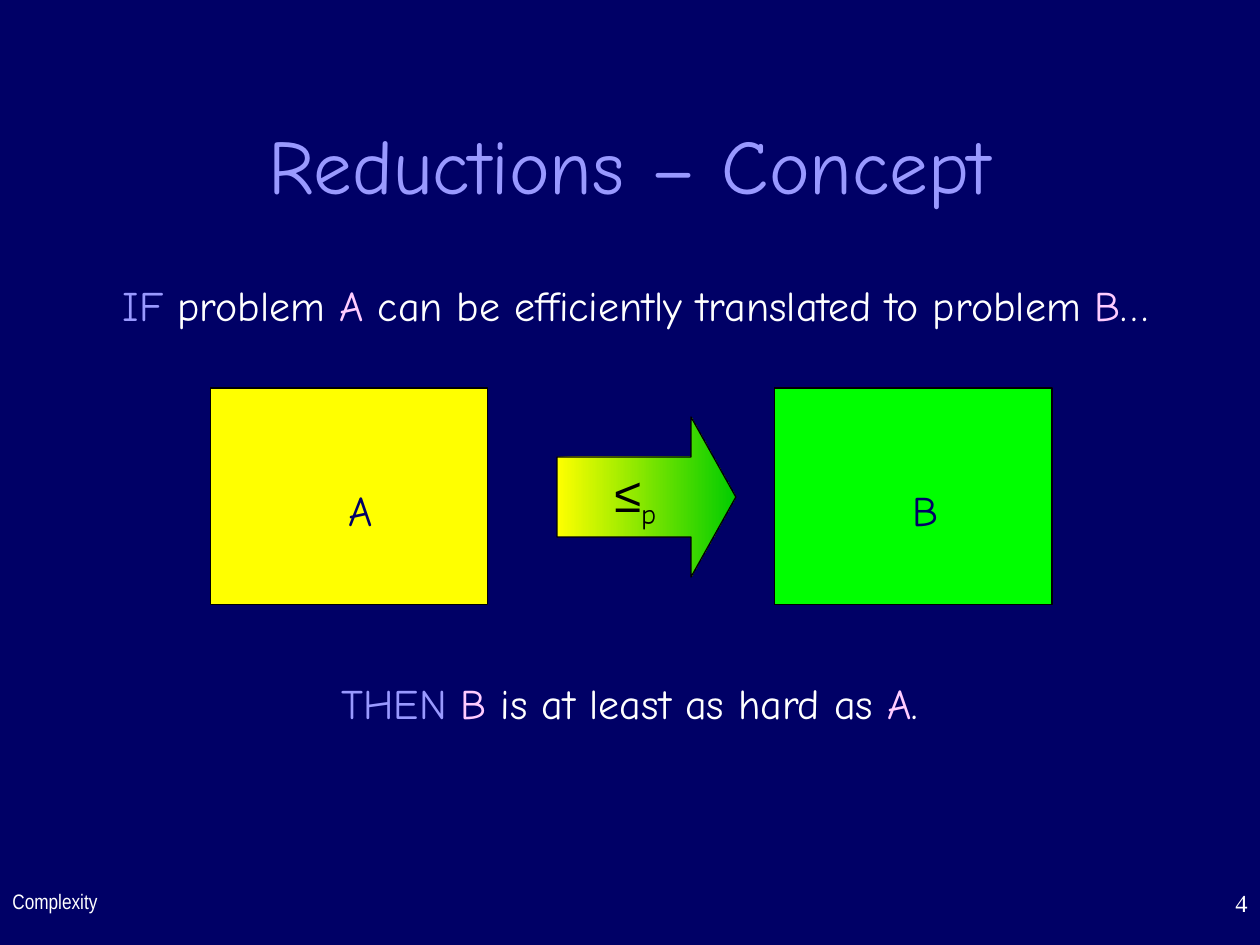
from pptx import Presentation
from pptx.dml.color import RGBColor
from pptx.enum.shapes import MSO_SHAPE
from pptx.enum.text import MSO_ANCHOR, PP_ALIGN
from pptx.util import Inches, Pt

COLORS = {
    "navy": "000066", "periwinkle": "9999FF", "pink": "FFCCFF",
    "white": "FFFFFF", "black": "000000", "yellow": "FFFF00",
    "lime": "00FF00", "green": "00CC00",
}
COMIC = "Comic Neue"


def color(name):
    return RGBColor.from_string(COLORS[name])


def write(tf, runs, size, font=COMIC, align=PP_ALIGN.CENTER, anchor=MSO_ANCHOR.TOP):
    """Fill a frame with one paragraph of (text, color name) runs."""
    tf.word_wrap = True
    tf.vertical_anchor = anchor
    p = tf.paragraphs[0]
    p.alignment = align
    for text, name in runs:
        r = p.add_run()
        r.text = text
        r.font.size = Pt(size)
        r.font.name = font
        r.font.color.rgb = color(name)
    return p


def add_text(s, box, runs, size, **style):
    tb = s.shapes.add_textbox(*map(Inches, box))
    write(tb.text_frame, runs, size, **style)


def add_outlined(s, kind, box):
    sp = s.shapes.add_shape(kind, *map(Inches, box))
    sp.shadow.inherit = False
    sp.line.color.rgb = color("black")
    sp.line.width = Pt(0.75)
    return sp


def add_problem(s, box, label, fill):
    sp = add_outlined(s, MSO_SHAPE.RECTANGLE, box)
    sp.fill.solid()
    sp.fill.fore_color.rgb = color(fill)
    tf = sp.text_frame
    # The label sits slightly right of and below the centre
    tf.margin_left = Inches(0.29)
    tf.margin_top = Inches(0.26)
    write(tf, [(label, "navy")], 24, anchor=MSO_ANCHOR.MIDDLE)


def add_reduction_arrow(s, box):
    sp = add_outlined(s, MSO_SHAPE.RIGHT_ARROW, box)
    sp.adjustments[0] = 0.5
    sp.adjustments[1] = 0.28
    sp.fill.gradient()
    sp.fill.gradient_angle = 0
    for stop, name in zip(sp.fill.gradient_stops, ("yellow", "green")):
        stop.color.rgb = color(name)
    p = write(sp.text_frame, [("≤", "black"), ("p", "black")], 28,
              anchor=MSO_ANCHOR.MIDDLE)
    relation, subscript = p.runs
    relation.font.name = "Arial"
    subscript._r.get_or_add_rPr().set("baseline", "-25000")


def add_diagram(s, left, top, width, height):
    """Problem A, the reduction arrow and problem B in one row."""
    box_w = 2.2
    add_problem(s, (left, top, box_w, height), "A", "yellow")
    add_reduction_arrow(s, (left + 2.75, top + 0.23, 1.42, 1.27))
    add_problem(s, (left + width - box_w, top, box_w, height), "B", "lime")


def add_footer(s, top, width, height):
    number_w = 2.08
    add_text(s, (0, top, 3.17, height), [("Complexity", "white")], 12,
             font="Arial Narrow", align=PP_ALIGN.LEFT)
    add_text(s, (width - number_w, top, number_w, height), [("4", "white")], 14,
             font="Times New Roman", align=PP_ALIGN.RIGHT)


def main():
    prs = Presentation()
    prs.slide_width, prs.slide_height = Inches(10), Inches(7.5)
    s = prs.slides.add_slide(prs.slide_layouts[6])
    s.background.fill.solid()
    s.background.fill.fore_color.rgb = color("navy")

    # Title
    add_text(s, (0.75, 0.67, 8.5, 1.25), [("Reductions – Concept", "periwinkle")],
             44, anchor=MSO_ANCHOR.MIDDLE)

    # Premise, diagram and conclusion
    add_text(s, (0.42, 2.17, 9.25, 0.5), [
        ("IF ", "periwinkle"), ("problem ", "white"), ("A", "pink"),
        (" can be efficiently translated to problem ", "white"),
        ("B", "pink"), ("…", "white")], 24)
    add_diagram(s, 1.67, 3.08, 6.68, 1.72)
    add_text(s, (1.25, 5.33, 7.5, 0.5), [
        ("THEN ", "periwinkle"), ("B", "pink"),
        (" is at least as hard as ", "white"), ("A", "pink"), (".", "white")], 24)

    add_footer(s, 7, 10, 0.5)
    prs.save("out.pptx")


if __name__ == "__main__":
    main()
